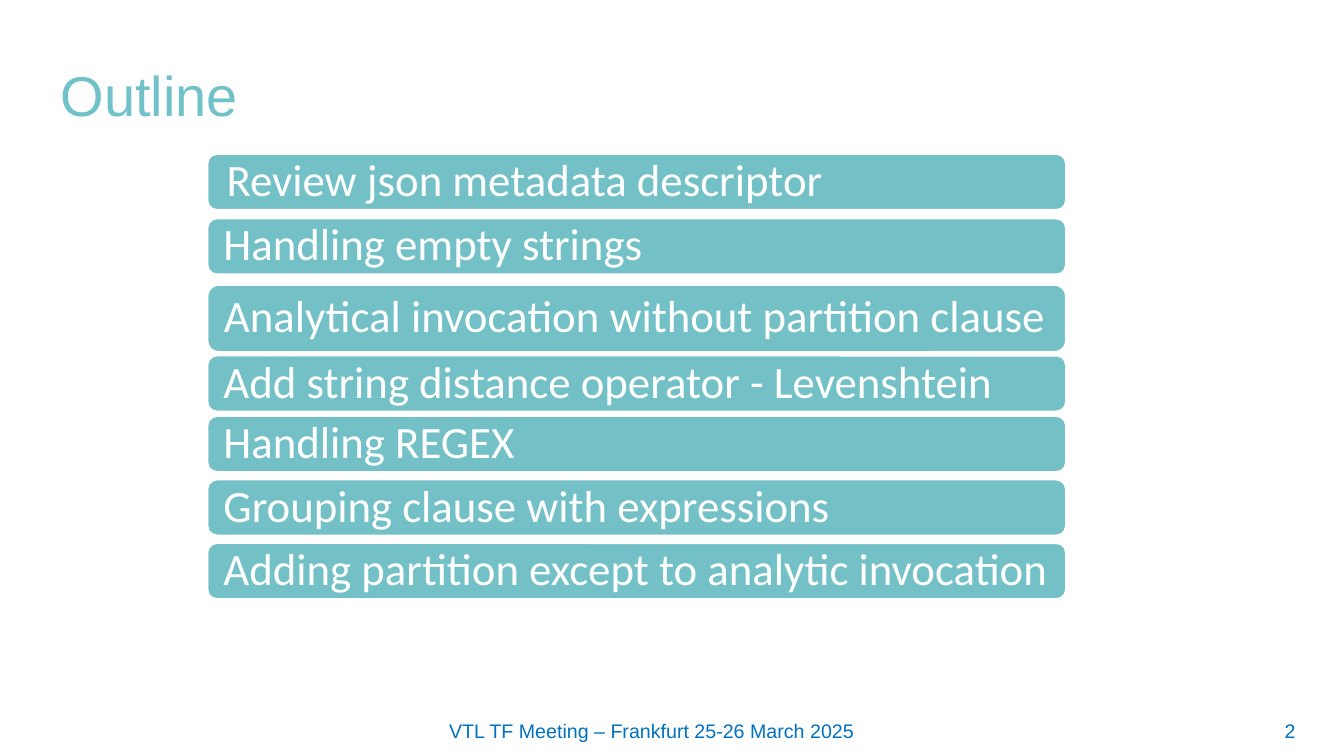
from dataclasses import dataclass

from pptx import Presentation
from pptx.dml.color import RGBColor
from pptx.enum.shapes import MSO_SHAPE as Shape
from pptx.enum.text import MSO_ANCHOR as Anchor, MSO_AUTO_SIZE as AutoSize, PP_ALIGN as Align
from pptx.util import Inches, Pt


@dataclass(frozen=True)
class Theme:
    title_color: str = "70C1C8"
    bar_color: str = "73C1C7"
    white: str = "FFFFFF"
    footer_color: str = "0070C0"
    heading_font: str = "Arial"
    bar_font: str = "Calibri"
    title_size: int = 40
    bar_size: int = 32
    footer_size: int = 14


# Agenda: text, top and height in rows
TOPICS = [
    ("Review json metadata descriptor", 1.53, 0.55),
    ("Handling empty strings", 2.17, 0.55),
    ("Analytical invocation without partition clause", 2.83, 0.66),
    ("Add string distance operator - Levenshtein", 3.53, 0.55),
    ("Handling REGEX", 4.13, 0.55),
    ("Grouping clause with expressions", 4.76, 0.55),
    ("Adding partition except to analytic invocation", 5.39, 0.55),
]
BAR_LEFT, BAR_WIDTH = 2.06, 8.51


def write_text(box, text, *, font, size, color, align=Align.LEFT, anchor=Anchor.TOP,
               spacing=1.0, insets=(0.1, 0.05, 0.1, 0.05)):
    frame = box.text_frame
    frame.word_wrap = True
    frame.auto_size = AutoSize.NONE
    frame.vertical_anchor = anchor
    (frame.margin_left, frame.margin_top,
     frame.margin_right, frame.margin_bottom) = map(Inches, insets)
    para = frame.paragraphs[0]
    para.alignment = align
    para.line_spacing = spacing
    span = para.add_run()
    span.text = text
    span.font.name = font
    span.font.size = Pt(size)
    span.font.color.rgb = RGBColor.from_string(color)


class SlideBuilder:
    """Places elements on a grid of one-inch columns and rows."""

    def __init__(self, deck, theme):
        self.theme = theme
        self.page = deck.slides.add_slide(deck.slide_layouts.get_by_name("Title Only"))

    def title(self, text, *place):
        box = self.page.shapes.title
        box.left, box.top, box.width, box.height = map(Inches, place)
        write_text(box, text, font=self.theme.heading_font, size=self.theme.title_size,
                   color=self.theme.title_color, anchor=Anchor.MIDDLE)

    def bar(self, text, *place, inset):
        box = self.page.shapes.add_shape(Shape.ROUNDED_RECTANGLE, *map(Inches, place))
        box.shadow.inherit = False
        box.fill.solid()
        box.fill.fore_color.rgb = RGBColor.from_string(self.theme.bar_color)
        box.line.color.rgb = RGBColor.from_string(self.theme.white)
        box.line.width = Pt(1)
        write_text(box, text, font=self.theme.bar_font, size=self.theme.bar_size,
                   color=self.theme.white, anchor=Anchor.MIDDLE, spacing=0.9,
                   insets=(inset, inset, 0.05, inset))

    def footer(self, text, *place):
        box = self.page.shapes.add_textbox(*map(Inches, place))
        write_text(box, text, font=self.theme.heading_font, size=self.theme.footer_size,
                   color=self.theme.footer_color, align=Align.CENTER)


def main():
    deck = Presentation()
    deck.slide_width, deck.slide_height = Inches(13.33), Inches(7.5)
    slide = SlideBuilder(deck, Theme())

    # Heading
    slide.title("Outline", 0.5, 0.54, 10.83, 0.78)

    # Agenda bars, the first one indented slightly more
    for index, (topic, top, height) in enumerate(TOPICS):
        slide.bar(topic, BAR_LEFT, top, BAR_WIDTH, height, inset=0.13 if index else 0.16)

    # Footer and page number
    slide.footer("VTL TF Meeting – Frankfurt 25-26 March 2025", 4.3, 7.08, 4.33, 0.34)
    slide.footer("2", 12.62, 7.08, 0.35, 0.26)

    deck.save("out.pptx")


if __name__ == "__main__":
    main()
